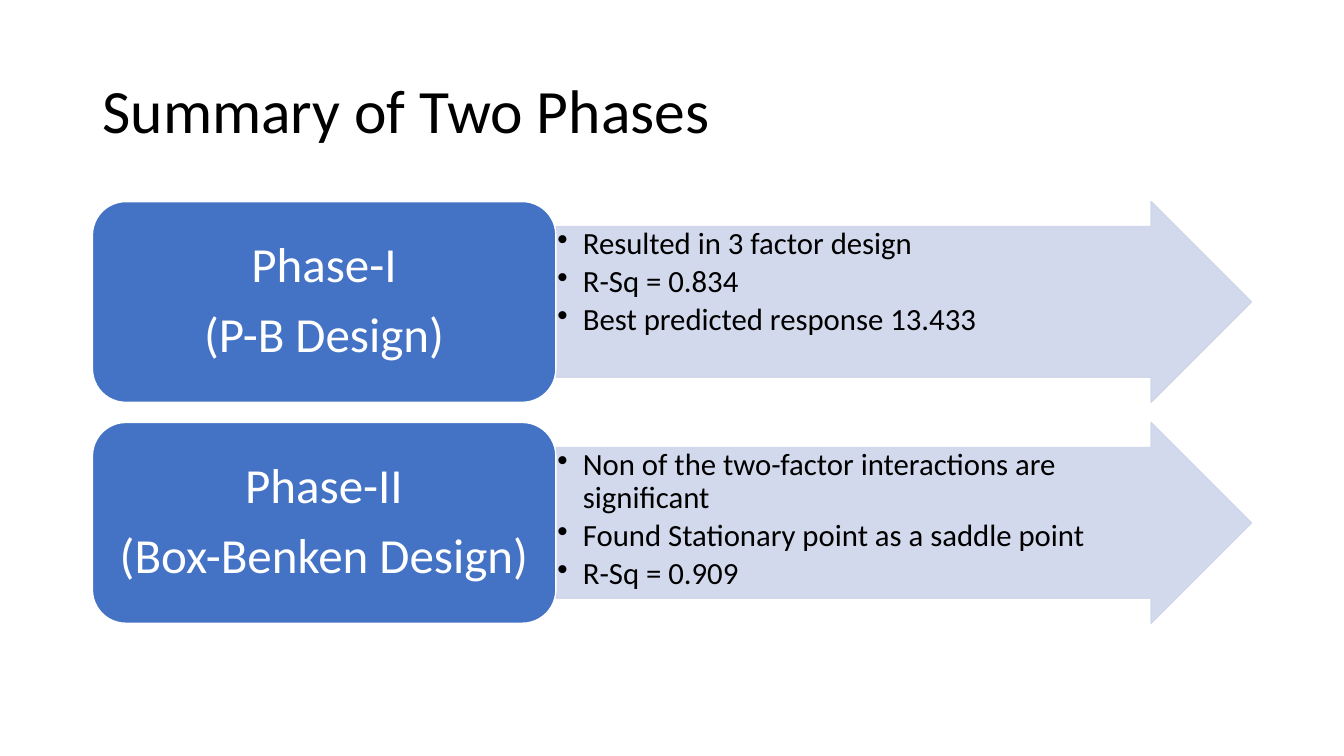
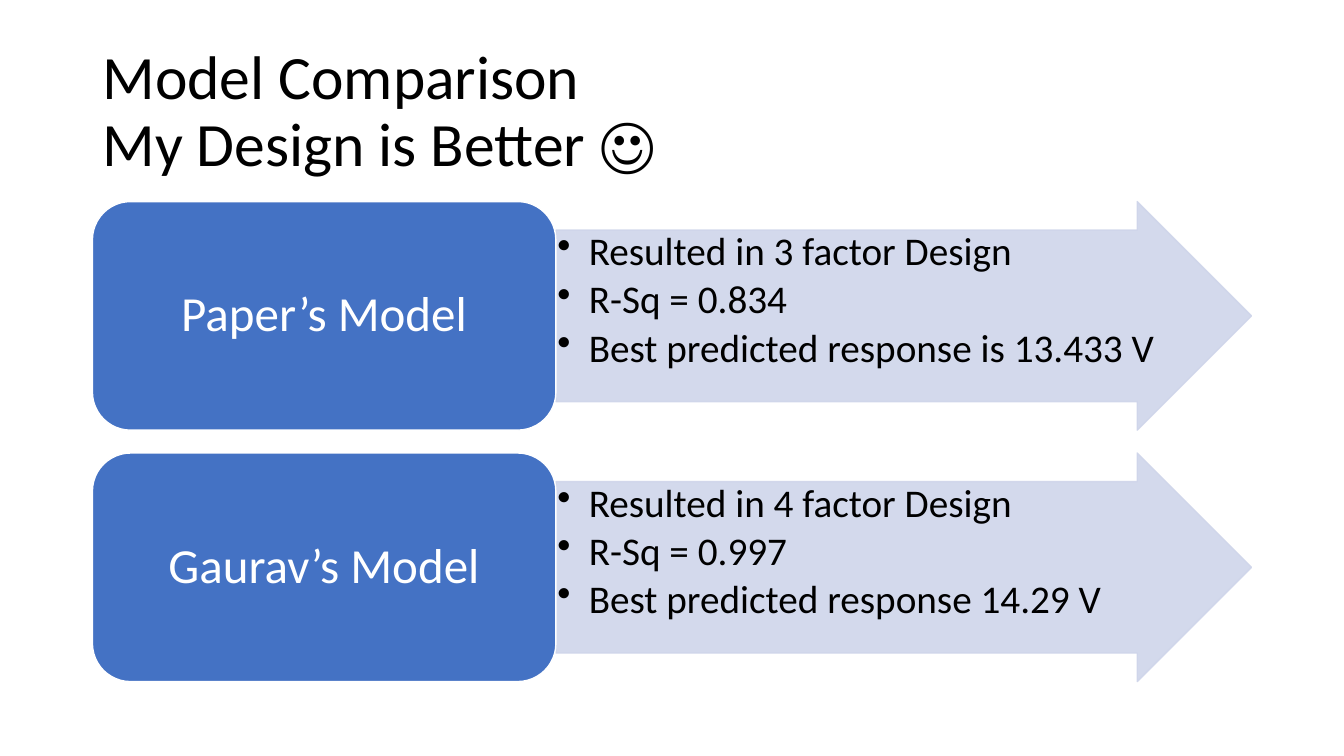
from dataclasses import dataclass
from typing import Any

import pptx
import pptx.dml.color
import pptx.enum.shapes
import pptx.enum.text
import pptx.oxml
import pptx.oxml.ns
import pptx.util

Cm = pptx.util.Cm
Pt = pptx.util.Pt
RGB = pptx.dml.color.RGBColor.from_string
MSO = pptx.enum.shapes.MSO_SHAPE
ALIGN = pptx.enum.text.PP_ALIGN
ANCHOR = pptx.enum.text.MSO_ANCHOR

# Shared look
COLORS = {"text": "000000", "label": "4472C4", "arrow": "CFD5EA", "white": "FFFFFF"}
FONT = "Calibri"
ARROW_ALPHA = 90
LEFT, TOP = 2.33, 5.08
LABEL_W, ARROW_W = 11.68, 17.53
ROW_STEP = 1.1  # row pitch as a multiple of row height

TITLE_BOX = {"left": Cm(LEFT), "top": Cm(1.01), "width": Cm(LABEL_W + ARROW_W), "height": Cm(3.68)}
TITLE_FRAME = {
    "vertical_anchor": ANCHOR.MIDDLE,
    "word_wrap": True,
    "auto_size": pptx.enum.text.MSO_AUTO_SIZE.NONE,
}
LABEL_FRAME = {
    "vertical_anchor": ANCHOR.MIDDLE, "word_wrap": True,
    "margin_left": Cm(0.37), "margin_right": Cm(0.37),
    "margin_top": Cm(0.18), "margin_bottom": Cm(0.18),
}
ARROW_FRAME = {
    "vertical_anchor": ANCHOR.TOP, "word_wrap": True,
    "margin_left": Cm(0.04), "margin_right": Cm(0.04),
    "margin_top": Cm(0.04), "margin_bottom": Cm(0.04),
}


@dataclass(frozen=True)
class Row:
    label: list[str]
    points: list[str]


@dataclass(frozen=True)
class Page:
    title: str
    row_h: float
    point_size: int
    indent: float
    rows: list[Row]


PAGES = [
    Page("Summary of Two Phases", 5.06, 22, 0.64, [
        Row(["Phase-I", "(P-B Design)"],
            ["Resulted in 3 factor design", "R-Sq = 0.834",
             "Best predicted response 13.433"]),
        Row(["Phase-II", "(Box-Benken Design)"],
            ["Non of the two-factor interactions are significant",
             "Found Stationary point as a saddle point", "R-Sq = 0.909"]),
    ]),
    Page("Model Comparison\vMy Design is Better ☺", 5.76, 28, 0.79, [
        Row(["Paper’s Model"],
            ["Resulted in 3 factor Design", "R-Sq = 0.834",
             "Best predicted response is 13.433 V"]),
        Row(["Gaurav’s Model"],
            ["Resulted in 4 factor Design", "R-Sq = 0.997",
             "Best predicted response 14.29 V"]),
    ]),
]


def apply(obj: Any, values: dict[str, Any]) -> None:
    for name, value in values.items():
        setattr(obj, name, value)


def style(p: Any, size: int, color: str, align: Any, after: float = 0) -> None:
    apply(p, {"alignment": align, "line_spacing": 0.9, "space_before": Pt(0),
              "space_after": Pt(size * after)})
    apply(p.font, {"name": FONT, "size": Pt(size)})
    p.font.color.rgb = RGB(COLORS[color])


def add_bullet(p: Any, indent: float) -> None:
    pPr = p._p.get_or_add_pPr()
    pPr.set("marL", str(Cm(indent)))
    pPr.set("indent", str(-Cm(indent)))
    bullet = pptx.oxml.parse_xml(f'<a:buChar {pptx.oxml.ns.nsdecls("a")} char="•"/>')
    pPr.insert_element_before(bullet, "a:tabLst", "a:defRPr", "a:extLst")


def set_alpha(sp: Any, percent: int) -> None:
    for clr in sp._element.spPr.iter(pptx.oxml.ns.qn("a:srgbClr")):
        clr.append(pptx.oxml.parse_xml(
            f'<a:alpha {pptx.oxml.ns.nsdecls("a")} val="{percent * 1000}"/>'))


def add_block(s: Any, kind: Any, box: tuple[float, ...], fill: str, line: str,
              frame: dict[str, Any], texts: list[str]) -> Any:
    sp = s.shapes.add_shape(kind, *map(Cm, box))
    sp.shadow.inherit = False
    sp.fill.solid()
    sp.fill.fore_color.rgb = RGB(COLORS[fill])
    sp.line.color.rgb = RGB(COLORS[line])
    sp.line.width = Pt(1)
    tf = sp.text_frame
    apply(tf, frame)
    tf.text = "\n".join(texts)
    return sp


def add_row(s: Any, page: Page, row: Row, top: float) -> None:
    # Arrow with the findings
    sp = add_block(s, MSO.RIGHT_ARROW, (LEFT + LABEL_W, top, ARROW_W, page.row_h),
                   "arrow", "arrow", ARROW_FRAME, row.points)
    sp.adjustments[0], sp.adjustments[1] = 0.75, 0.5
    set_alpha(sp, ARROW_ALPHA)
    for p in sp.text_frame.paragraphs:
        style(p, page.point_size, "text", ALIGN.LEFT, 0.15)
        add_bullet(p, page.indent)

    # Rounded label
    sp = add_block(s, MSO.ROUNDED_RECTANGLE, (LEFT, top, LABEL_W, page.row_h),
                   "label", "white", LABEL_FRAME, row.label)
    for p in sp.text_frame.paragraphs:
        style(p, 35, "white", ALIGN.CENTER, 0.35)


def add_page(prs: Any, page: Page) -> None:
    s = prs.slides.add_slide(prs.slide_layouts[5])
    # Title
    title = s.shapes.title
    apply(title, TITLE_BOX)
    tf = title.text_frame
    apply(tf, TITLE_FRAME)
    tf.text = page.title
    style(tf.paragraphs[0], 44, "text", ALIGN.LEFT)
    # Rows
    for i, row in enumerate(page.rows):
        add_row(s, page, row, TOP + i * page.row_h * ROW_STEP)


def main() -> None:
    prs = pptx.Presentation()
    prs.slide_width, prs.slide_height = Cm(33.87), Cm(19.05)
    for page in PAGES:
        add_page(prs, page)
    prs.save("out.pptx")


if __name__ == "__main__":
    main()
